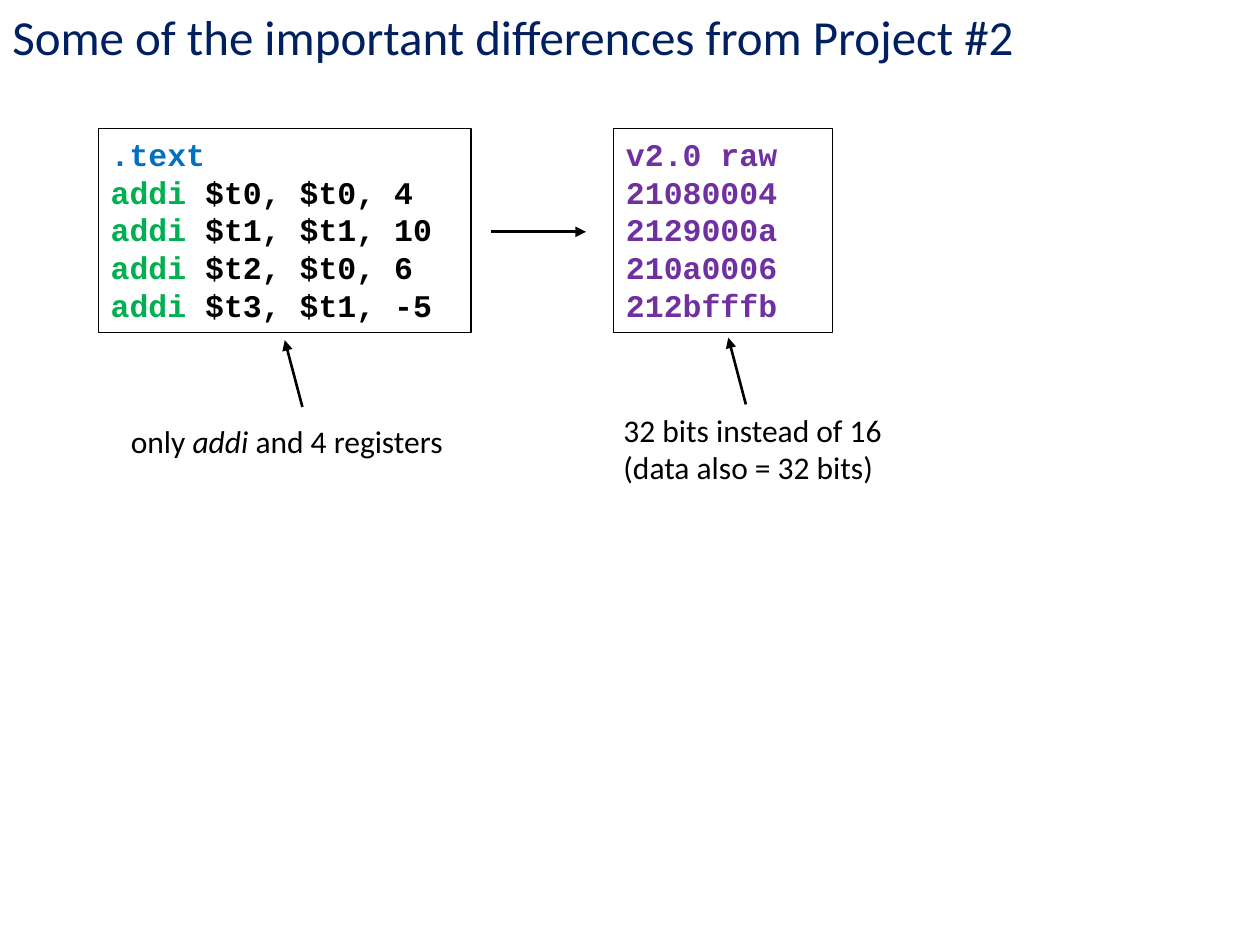
import dataclasses

import lxml.etree
import pptx
import pptx.dml.color
import pptx.enum.shapes
import pptx.enum.text
import pptx.oxml.ns
import pptx.util


@dataclasses.dataclass(frozen=True)
class Theme:
    ink: str = "000000"
    paper: str = "FFFFFF"
    title: str = "002060"
    directive: str = "0070C0"
    instruction: str = "00B050"
    machine: str = "7030A0"
    text_font: str = "Calibri"
    code_font: str = "Courier New"
    title_size: int = 28
    body_size: int = 18
    frame_width: float = 0.75
    arrow_width: float = 1.5
    column: float = 0.1
    row: float = 0.1


def rgb(color):
    return pptx.dml.color.RGBColor.from_string(color)


class Page:
    def __init__(self, deck, theme):
        self.theme = theme
        self.slide = deck.slides.add_slide(deck.slide_layouts[6])
        self.slide.background.fill.solid()
        self.slide.background.fill.fore_color.rgb = rgb(theme.paper)

    def point(self, column, row):
        return (pptx.util.Inches(column * self.theme.column),
                pptx.util.Inches(row * self.theme.row))

    def set_text(self, shape, lines, size, font, bold=None):
        frame = shape.text_frame
        frame.word_wrap = True
        frame.vertical_anchor = pptx.enum.text.MSO_ANCHOR.TOP
        for index, line in enumerate(lines):
            para = frame.paragraphs[0] if index == 0 else frame.add_paragraph()
            para.alignment = pptx.enum.text.PP_ALIGN.LEFT
            para.font.size = pptx.util.Pt(size)
            para.font.name = font
            para.font.bold = bold
            for text, color, italic in line:
                span = para.add_run()
                span.text = text
                span.font.color.rgb = rgb(color)
                span.font.italic = italic

    def title(self, text):
        box = self.slide.shapes.add_textbox(*self.point(0, 0), *self.point(100, 5.7))
        self.set_text(box, [[(text, self.theme.title, None)]],
                      self.theme.title_size, self.theme.text_font)

    def panel(self, place, extent, lines, edge, font, bold=None):
        box = self.slide.shapes.add_shape(
            pptx.enum.shapes.MSO_SHAPE.RECTANGLE, *self.point(*place), *self.point(*extent))
        box.shadow.inherit = False
        box.fill.background()
        box.line.color.rgb = rgb(edge)
        box.line.width = pptx.util.Pt(self.theme.frame_width)
        self.set_text(box, lines, self.theme.body_size, font, bold)

    def code(self, place, extent, lines):
        self.panel(place, extent, lines, self.theme.ink, self.theme.code_font, True)

    def note(self, place, extent, lines):
        self.panel(place, extent, lines, self.theme.paper, self.theme.text_font)

    def arrow(self, start, end):
        arrow = self.slide.shapes.add_connector(
            pptx.enum.shapes.MSO_CONNECTOR.STRAIGHT, *self.point(*start), *self.point(*end))
        arrow.line.color.rgb = rgb(self.theme.ink)
        arrow.line.width = pptx.util.Pt(self.theme.arrow_width)
        name = pptx.oxml.ns.qn
        properties = arrow._element.spPr
        lxml.etree.SubElement(properties.find(name("a:ln")), name("a:tailEnd"), type="triangle")
        lxml.etree.SubElement(properties, name("a:effectLst"))


theme = Theme()
deck = pptx.Presentation()
deck.slide_width = pptx.util.Inches(10)
deck.slide_height = pptx.util.Inches(7.5)
page = Page(deck, theme)

page.title("Some of the important differences from Project #2")

operands = ["$t0, $t0, 4", "$t1, $t1, 10", "$t2, $t0, 6", "$t3, $t1, -5"]
assembly = [[(".text", theme.directive, None)]] + [
    [("addi", theme.instruction, None), (" " + operand, theme.ink, None)]
    for operand in operands]
words = ["v2.0 raw", "21080004", "2129000a", "210a0006", "212bfffb"]
machine = [[(word, theme.machine, None)] for word in words]

page.code((7.8, 10.2), (29.6, 16.2), assembly)
page.code((48.7, 10.2), (17.4, 16.2), machine)
page.arrow((39, 18.4), (46.5, 18.4))

page.note((9.4, 33), (29.6, 4), [[
    ("only ", theme.ink, None), ("addi ", theme.ink, True),
    ("and 4 registers", theme.ink, None)]])
page.note((48.5, 32.1), (29.6, 7.1), [
    [(text, theme.ink, None)]
    for text in ("32 bits instead of 16 ", "(data also = 32 bits) ")])
for column, row in ((24, 32.3), (59.2, 32.1)):
    page.arrow((column, row), (column - 1.4, row - 5.3))

deck.save("out.pptx")
